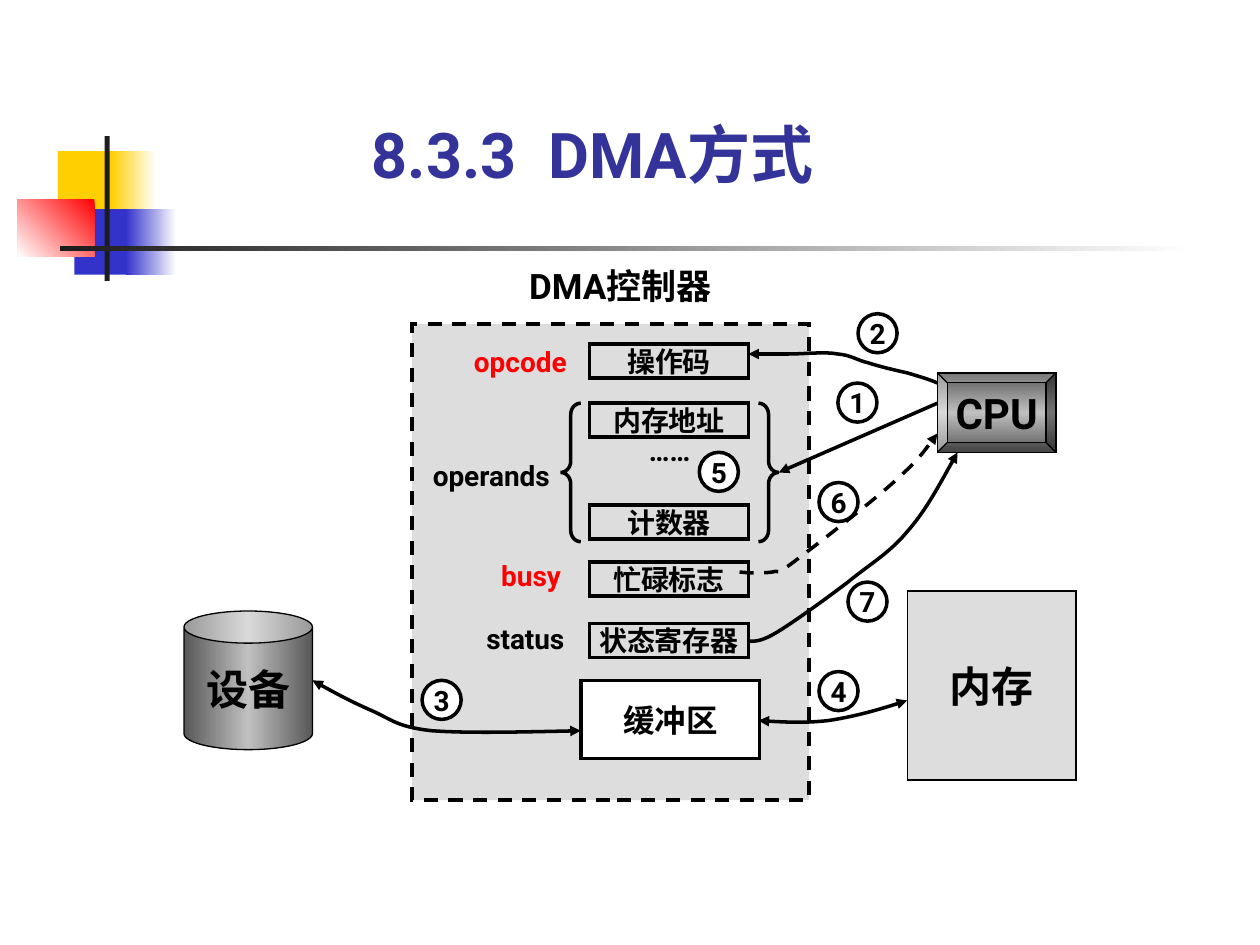
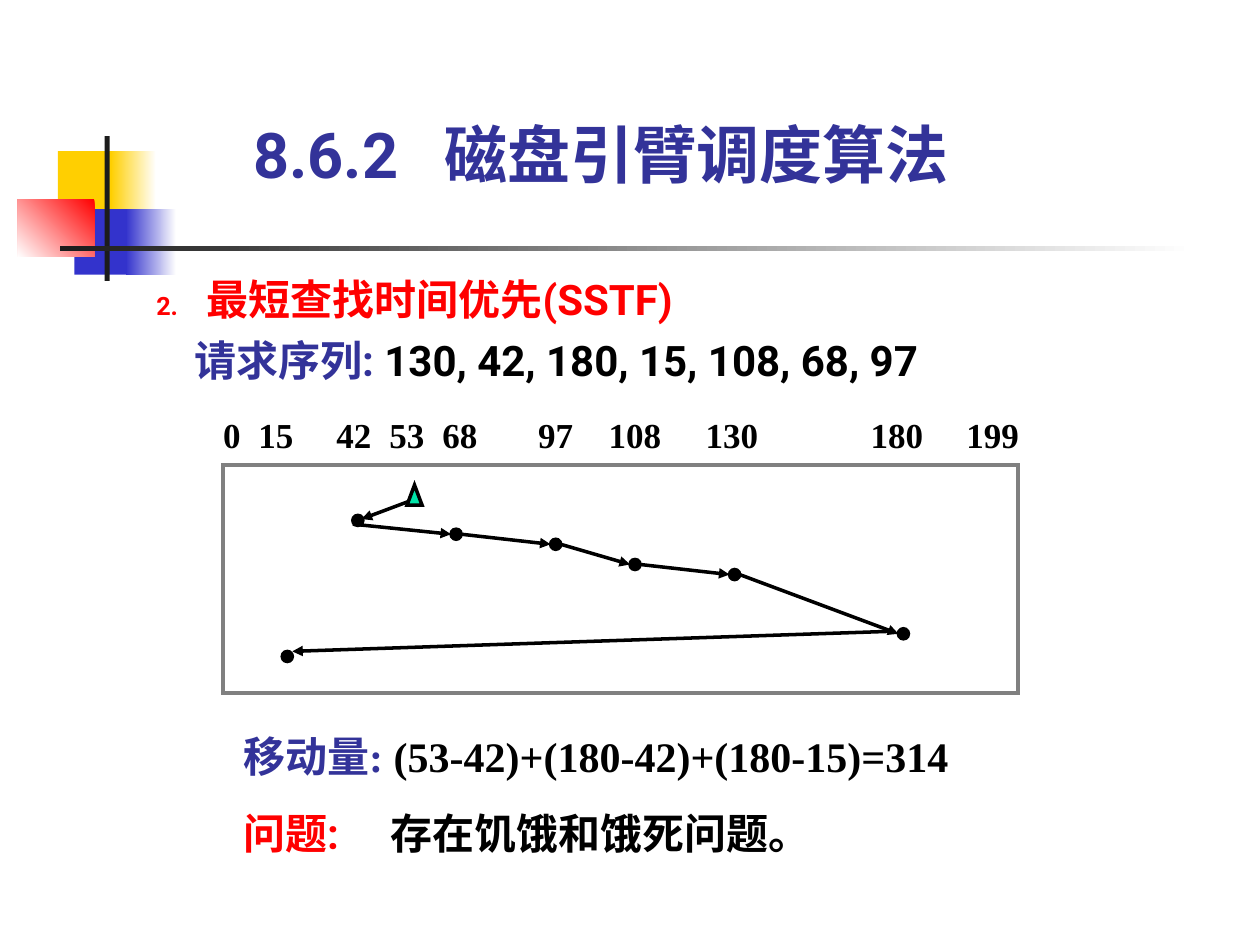
from dataclasses import dataclass

from lxml.etree import SubElement
from pptx import Presentation
from pptx.dml.color import RGBColor
from pptx.enum.dml import MSO_LINE
from pptx.enum.shapes import MSO_CONNECTOR, MSO_SHAPE
from pptx.enum.text import MSO_ANCHOR, MSO_AUTO_SIZE, PP_ALIGN
from pptx.oxml.ns import qn
from pptx.shapes.connector import Connector
from pptx.util import Inches, Pt


@dataclass(frozen=True)
class Theme:
    ink: str = "000000"
    white: str = "FFFFFF"
    red: str = "FF0000"
    heading: str = "333399"
    panel: str = "DDDDDD"
    yellow: str = "FFCF01"
    blue: str = "3333CC"
    bar: str = "1C1C1C"
    frame: str = "808080"
    marker: str = "00E4A8"
    metal: tuple = ("585858", "C0C0C0", "585858")
    sans: str = "Roboto"
    serif: str = "Times New Roman"
    title: int = 36
    large: int = 24
    medium: int = 20
    buffer: int = 18
    small: int = 16
    thin: float = 0.75
    thick: float = 2


theme = Theme()


def style(item, fill=None, line=None, width=theme.thick, dash=False, angle=0, arrows=()):
    """Set fill (a colour or a tuple of gradient colours), line and arrowheads."""
    properties = item.element.spPr
    if not isinstance(item, Connector):
        item.shadow.inherit = False
        if fill is None:
            item.fill.background()
        else:
            item.fill.solid()
            item.fill.fore_color.rgb = RGBColor.from_string(fill if isinstance(fill, str) else fill[0])
        if isinstance(fill, tuple):
            solid = properties.find(qn("a:solidFill"))
            gradient = properties.makeelement(qn("a:gradFill"), {"rotWithShape": "1"})
            stops = SubElement(gradient, qn("a:gsLst"))
            for index, color in enumerate(fill):
                stop = SubElement(stops, qn("a:gs"), pos=str(index * 100000 // (len(fill) - 1)))
                SubElement(stop, qn("a:srgbClr"), val=color)
            SubElement(gradient, qn("a:lin"), ang=str(angle * 60000), scaled="0")
            properties.replace(solid, gradient)
    if line is None:
        item.line.fill.background()
    else:
        item.line.color.rgb = RGBColor.from_string(line)
        item.line.width = Pt(width)
        if dash:
            item.line.dash_style = MSO_LINE.DASH
        outline = properties.find(qn("a:ln"))
        SubElement(outline, qn("a:miter"), lim="800000")
        for end in arrows:
            SubElement(outline, qn(f"a:{end}"), type="triangle")
    if isinstance(item, Connector):
        SubElement(properties, qn("a:effectLst"))
    return item


def write(shape, text, size=theme.small, color=theme.ink, font=theme.sans,
          align=PP_ALIGN.CENTER, anchor=MSO_ANCHOR.MIDDLE, margins=(0, 0),
          before=0, left=None, hanging=0, number=None, tabs=()):
    """Add one paragraph; text is a string or a list of (text, colour) runs."""
    frame = shape.text_frame
    frame.word_wrap = True
    frame.auto_size = MSO_AUTO_SIZE.NONE
    frame.vertical_anchor = anchor
    frame.margin_left = frame.margin_right = Inches(margins[0])
    frame.margin_top = frame.margin_bottom = Inches(margins[1])
    paragraph = frame.add_paragraph() if frame.text else frame.paragraphs[0]
    paragraph.alignment = align
    paragraph.space_before = Pt(before)
    properties = paragraph._p.get_or_add_pPr()
    if left is not None:
        properties.set("marL", str(Inches(left)))
        properties.set("indent", str(-Inches(hanging)))
    if number is None:
        SubElement(properties, qn("a:buNone"))
    else:
        bullet_color = SubElement(properties, qn("a:buClr"))
        SubElement(bullet_color, qn("a:srgbClr"), val=color)
        SubElement(properties, qn("a:buSzPct"), val="60000")
        SubElement(properties, qn("a:buAutoNum"), type="arabicPeriod", startAt=str(number))
    if tabs:
        tab_list = SubElement(properties, qn("a:tabLst"))
        for position in tabs:
            SubElement(tab_list, qn("a:tab"), pos=str(Inches(position)), algn="l")
    for words, run_color in [(text, color)] if isinstance(text, str) else text:
        run = paragraph.add_run()
        run.text = words
        run.font.size = Pt(size)
        run.font.bold = True
        run.font.name = font
        run.font.color.rgb = RGBColor.from_string(run_color)
        SubElement(run.font._element, qn("a:ea"), typeface=theme.sans)


presentation = Presentation()
presentation.slide_width = Inches(10)
presentation.slide_height = Inches(7.5)

# Slides and their titles
slides = []
for layout, box, title, tab in [
    (5, (2.95, 0.92, 4.09, 0.6), "8.3.3\tDMA方式", 1.4),
    (1, (2.01, 0.92, 5.75, 0.6), "8.6.2\t磁盘引臂调度算法", 1.52),
]:
    slide = presentation.slides.add_slide(presentation.slide_layouts[layout])
    heading = slide.shapes.title
    heading.left, heading.top, heading.width, heading.height = map(Inches, box)
    write(heading, title, size=theme.title, color=theme.heading, align=PP_ALIGN.LEFT,
          anchor=MSO_ANCHOR.BOTTOM, tabs=[tab])
    slides.append(slide)
dma_slide, disk_slide = slides

# Colour blocks and rules, moved to the slide master
master_tree = presentation.slide_master.shapes.element
for index, (box, fill, angle) in enumerate([
    ((0.46, 1.2, 0.48, 0.52), theme.yellow, 0),
    ((0.88, 1.2, 0.36, 0.52), (theme.white, theme.yellow), 180),
    ((0.59, 1.66, 0.46, 0.52), theme.blue, 0),
    ((1, 1.66, 0.4, 0.52), (theme.white, theme.blue), 180),
    ((0.14, 1.58, 0.61, 0.46), (theme.red, theme.white), 135),
    ((0.83, 1.08, 0.04, 1.15), theme.bar, 0),
    ((0.48, 1.95, 9, 0.04), (theme.white, theme.bar), 180),
]):
    block = dma_slide.shapes.add_shape(MSO_SHAPE.RECTANGLE, *map(Inches, box))
    style(block, fill=fill, angle=angle)
    block.element[0][0].set("id", str(100 + index))
    master_tree.insert(2 + index, block.element)

# Slide 1: device, controller, processor and memory
shapes = dma_slide.shapes
for kind, box, text, size, fill, angle, width, dash in [
    (MSO_SHAPE.CAN, (1.46, 4.85, 1.02, 1.1), "设备", theme.large, theme.metal, 180, theme.thin, False),
    (MSO_SHAPE.RECTANGLE, (3.27, 2.57, 3.15, 3.78), "", theme.large, theme.panel, 0, theme.thick, True),
    (MSO_SHAPE.RECTANGLE, (4.61, 5.4, 1.42, 0.62), "缓冲区", theme.buffer, theme.white, 0, theme.thick, False),
    (MSO_SHAPE.BEVEL, (7.44, 2.96, 0.94, 0.63), "CPU", theme.large, theme.metal, 90, theme.thin, False),
    (MSO_SHAPE.RECTANGLE, (7.2, 4.69, 1.34, 1.5), "内存", theme.large, theme.panel, 0, theme.thin, False),
]:
    part = shapes.add_shape(kind, *map(Inches, box))
    style(part, fill=fill, line=theme.ink, width=width, dash=dash, angle=angle)
    if text:
        write(part, text, size=size)

# Registers
for top, text in [(2.73, "操作码"), (3.2, "内存地址"), (4.01, "计数器"),
                  (4.46, "忙碌标志"), (4.95, "状态寄存器")]:
    register = shapes.add_shape(MSO_SHAPE.RECTANGLE, *map(Inches, (4.68, top, 1.26, 0.27)))
    style(register, line=theme.ink)
    write(register, text)

# Labels
for box, text, size, color in [
    ((4.06, 2.1, 1.73, 0.33), "DMA控制器", theme.medium, theme.ink),
    ((3.66, 2.73, 0.94, 0.27), "opcode", theme.small, theme.red),
    ((3.35, 3.64, 1.1, 0.27), "operands", theme.small, theme.ink),
    ((5, 3.44, 0.63, 0.27), "……", theme.small, theme.ink),
    ((3.82, 4.43, 0.79, 0.27), "busy", theme.small, theme.red),
    ((3.74, 4.93, 0.86, 0.27), "status", theme.small, theme.ink),
]:
    write(shapes.add_textbox(*map(Inches, box)), text, size=size, color=color)

# Braces around the operands
for kind, left in [(MSO_SHAPE.LEFT_BRACE, 4.45), (MSO_SHAPE.RIGHT_BRACE, 6.02)]:
    brace = shapes.add_shape(kind, *map(Inches, (left, 3.2, 0.16, 1.1)))
    brace.adjustments[0] = 0.56
    style(brace, line=theme.ink)

# Data paths: a start point, then Bezier triples
operand_arrow = shapes.add_connector(MSO_CONNECTOR.STRAIGHT, *map(Inches, (7.44, 3.2, 6.18, 3.75)))
style(operand_arrow, line=theme.ink, arrows=["tailEnd"])
one_way, two_way = ["tailEnd"], ["headEnd", "tailEnd"]
for points, arrows, dash in [
    ([(7.44, 3.04), (7.37, 3.01), (7.3, 2.99), (7.2, 2.96), (7.11, 2.94), (6.98, 2.91), (6.89, 2.88),
      (6.8, 2.86), (6.76, 2.82), (6.65, 2.81), (6.55, 2.79), (6.38, 2.81), (6.26, 2.81),
      (6.14, 2.81), (6.04, 2.81), (5.94, 2.81)], one_way, False),
    ([(2.48, 5.4), (2.64, 5.49), (2.79, 5.57), (2.95, 5.64), (3.11, 5.71), (3.15, 5.77), (3.43, 5.8),
      (3.7, 5.82), (4.15, 5.81), (4.61, 5.8)], two_way, False),
    ([(6.02, 5.72), (6.2, 5.73), (6.38, 5.74), (6.57, 5.72), (6.77, 5.69), (6.99, 5.63), (7.2, 5.56)],
     two_way, False),
    ([(5.87, 4.54), (5.96, 4.55), (6.06, 4.55), (6.13, 4.54), (6.2, 4.52), (6.14, 4.58), (6.3, 4.46),
      (6.46, 4.34), (6.9, 4), (7.09, 3.83), (7.28, 3.66), (7.36, 3.55), (7.44, 3.44)], one_way, True),
    ([(5.94, 5.09), (6, 5.09), (6.05, 5.09), (6.18, 5.01), (6.31, 4.93), (6.56, 4.75), (6.73, 4.62),
      (6.9, 4.48), (7.06, 4.39), (7.2, 4.22), (7.35, 4.05), (7.47, 3.82), (7.6, 3.59)], one_way, False),
]:
    corners = [tuple(map(Inches, point)) for point in points]
    builder = shapes.build_freeform(*corners[0])
    builder.add_line_segments(corners[3::3], close=False)
    route = builder.convert_to_shape()
    for index, segment in enumerate(list(route.element.iter(qn("a:lnTo")))):
        curve = segment.makeelement(qn("a:cubicBezTo"), {})
        for x, y in corners[3 * index + 1:3 * index + 4]:
            SubElement(curve, qn("a:pt"), x=str(x - route.left), y=str(y - route.top))
        segment.getparent().replace(segment, curve)
    style(route, line=theme.ink, dash=dash, arrows=arrows)

# Numbered steps
for number, (left, top, fill) in enumerate([
    (6.65, 3.04, None), (6.81, 2.49, None), (3.35, 5.4, theme.white), (6.5, 5.33, None),
    (5.55, 3.59, theme.white), (6.5, 3.83, None), (6.73, 4.62, None),
], start=1):
    circle = shapes.add_shape(MSO_SHAPE.OVAL, *map(Inches, (left, top, 0.31, 0.31)))
    style(circle, fill=fill, line=theme.ink)
    write(circle, str(number))

# Slide 2: algorithm and request sequence
shapes = disk_slide.shapes
body = disk_slide.placeholders[1]
body.left, body.top, body.width, body.height = map(Inches, (1.14, 2.12, 7.32, 1))
body_format = dict(size=theme.large, align=PP_ALIGN.LEFT, anchor=MSO_ANCHOR.TOP, margins=(0.1, 0.05))
write(body, "最短查找时间优先(SSTF)", color=theme.red, left=0.4, hanging=0.4, number=2, **body_format)
write(body, [("请求序列:", theme.heading), (" 130, 42, 180, 15, 108, 68, 97", theme.ink)],
      before=6, left=0.3, **body_format)

# Track scale and frame
track_frame = shapes.add_shape(MSO_SHAPE.RECTANGLE, *map(Inches, (1.77, 3.69, 6.31, 1.81)))
style(track_frame, line=theme.frame)
tracks = [0, 15, 42, 53, 68, 97, 108, 130, 180, 199]
write(shapes.add_textbox(*map(Inches, (1.77, 3.28, 7.01, 0.33))), "\t".join(map(str, tracks)),
      size=theme.medium, font=theme.serif, align=PP_ALIGN.LEFT, anchor=MSO_ANCHOR.TOP,
      tabs=[0.28, 0.9, 1.32, 1.74, 2.5, 3.06, 3.83, 5.14, 5.9])

# Head movement: arrows run from the right of one stop to the left of the next
dot = 0.08
stops = [(2.8, 4.09), (3.58, 4.2), (4.37, 4.28), (5, 4.44), (5.79, 4.52), (7.13, 4.99), (2.24, 5.17)]
moves = [(3.27, 3.97, 2.87, 4.12), (2.8, 4.16, 3.58, 4.24)]
for (left, top), (next_left, next_top) in zip(stops[1:5], stops[2:6]):
    moves.append((left + dot, top + dot / 2, next_left, next_top + dot / 2))
moves.append((7.09, 5.01, 2.32, 5.17))
for move in moves:
    arrow = shapes.add_connector(MSO_CONNECTOR.STRAIGHT, *map(Inches, move))
    style(arrow, line=theme.ink, arrows=one_way)
start_marker = shapes.add_shape(MSO_SHAPE.ISOSCELES_TRIANGLE, *map(Inches, (3.23, 3.85, 0.12, 0.16)))
style(start_marker, fill=theme.marker, line=theme.ink)
for left, top in stops:
    stop_dot = shapes.add_shape(MSO_SHAPE.OVAL, *map(Inches, (left, top, dot, dot)))
    style(stop_dot, fill=theme.ink, line=theme.ink)

# Result and drawback
result = shapes.add_textbox(*map(Inches, (1.93, 5.8, 5.91, 1.01)))
result_format = dict(size=theme.large, align=PP_ALIGN.LEFT, anchor=MSO_ANCHOR.TOP)
write(result, [("移动量:", theme.heading), (" (53-42)+(180-42)+(180-15)=314", theme.ink)],
      font=theme.serif, **result_format)
write(result, [("问题:\t", theme.red), ("存在饥饿和饿死问题。", theme.ink)],
      before=15, tabs=[1.17], **result_format)

presentation.save("out.pptx")
